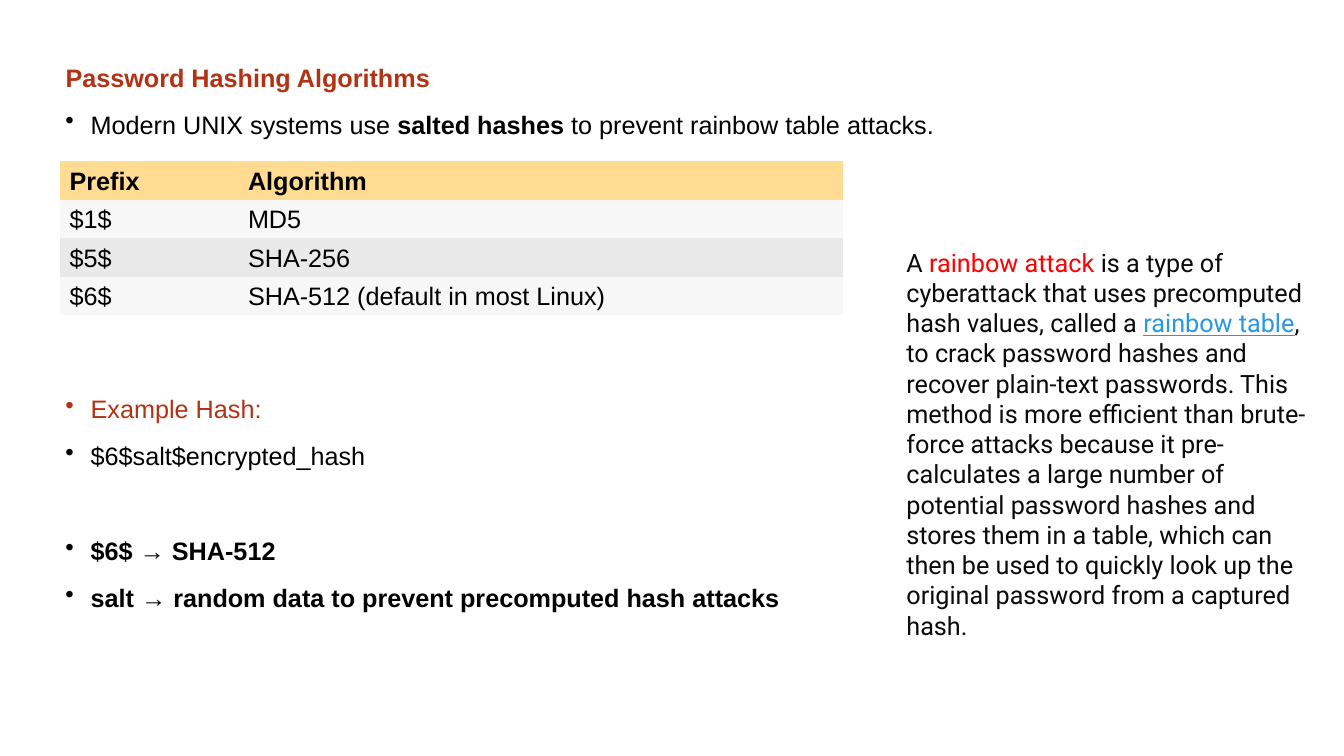
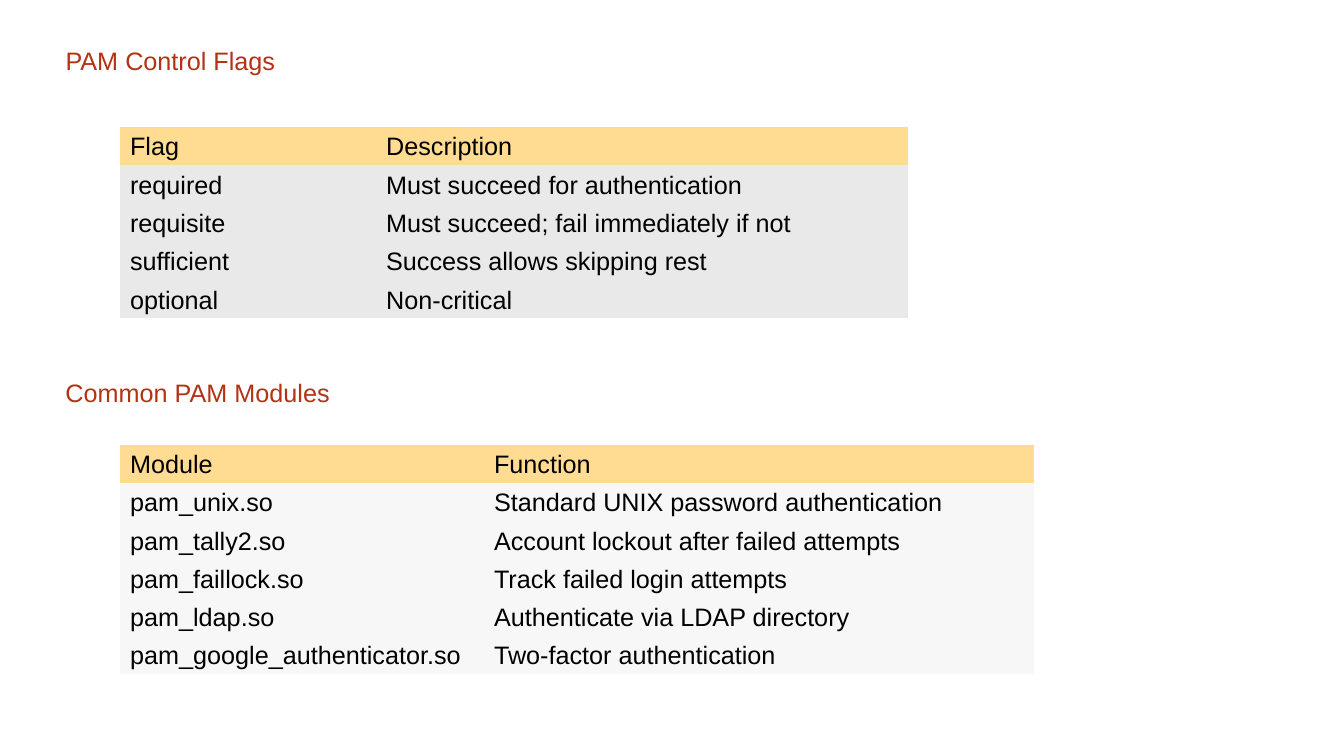
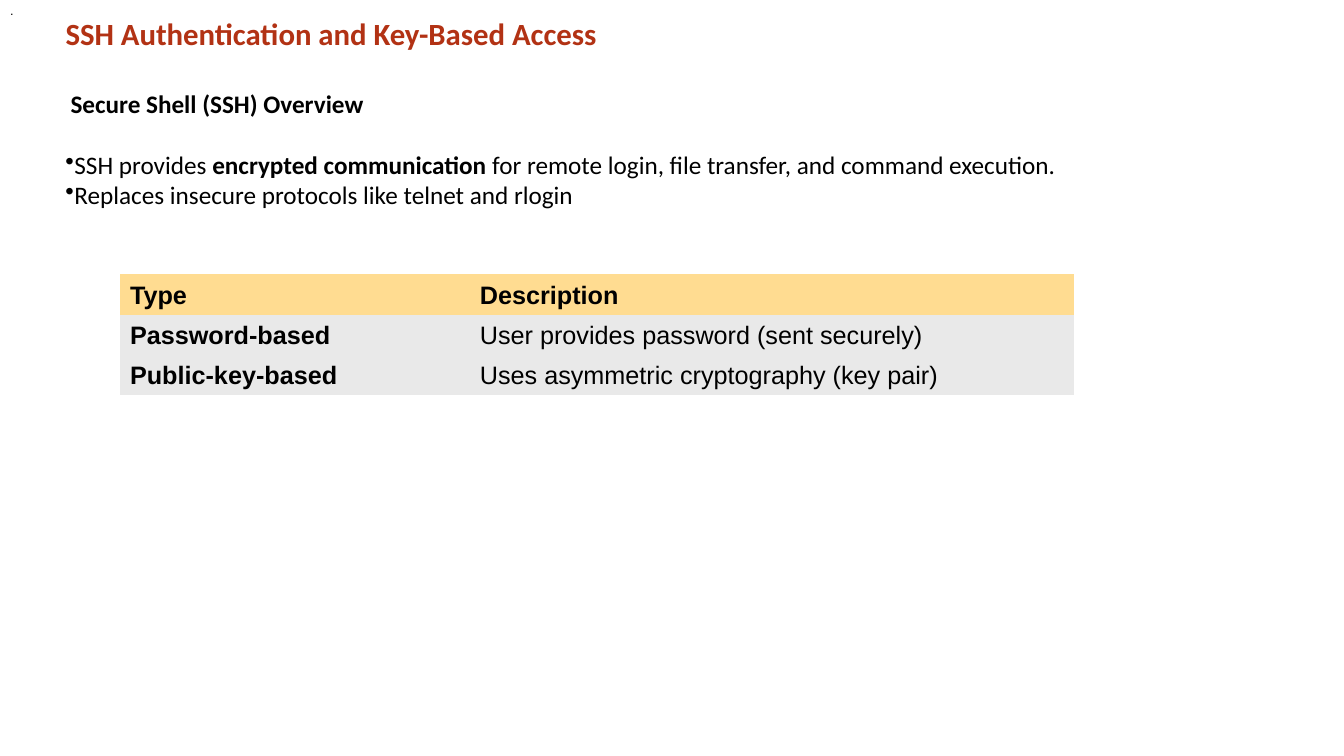
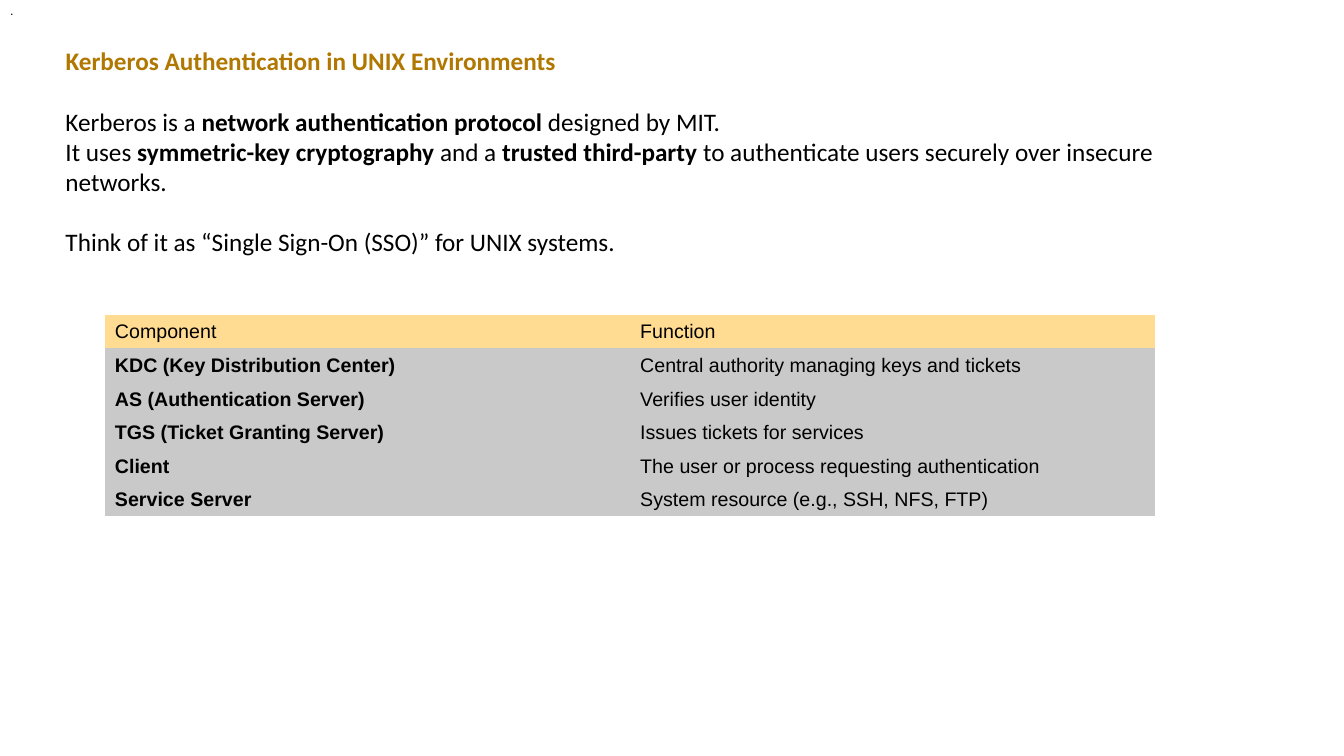
from dataclasses import dataclass

from pptx import Presentation
from pptx.dml.color import RGBColor
from pptx.enum.text import MSO_ANCHOR, MSO_AUTO_SIZE, PP_ALIGN
from pptx.oxml.ns import qn
from pptx.util import Pt
from lxml.etree import SubElement

PX = 9144  # EMU in one px, 100 px to the inch
PLAIN = "{2D5ABB26-0587-4C30-8999-92F81FD0307C}"  # table style without grid


@dataclass(frozen=True)
class Theme:
    rust: str = "B23214"
    ochre: str = "B07800"
    black: str = "000000"
    ink: str = "0A0A0A"
    red: str = "FF0000"
    blue: str = "2998E3"
    head: str = "FFDC91"
    pale: str = "F7F7F7"
    light: str = "E9E9E9"
    grey: str = "C9C9C9"
    sans: str = "Arial"
    soft: str = "Calibri"
    web: str = "Roboto"
    large: int = 22
    body: int = 18
    small: int = 14
    tiny: int = 9
    lead: float = 1.2
    loose: float = 1.32
    left: int = 65
    wide: int = 1140


T = Theme()
BOLD = {"bold": True}


def px(*nums):
    return [round(n * PX) for n in nums]


# Text: a paragraph is a string or a list of strings and (string, format) runs
def write(frame, paras, font=T.sans, size=T.body, color=T.black, bold=False,
          lead=T.lead, gaps=(), hang=None):
    for i, runs in enumerate(paras):
        para = frame.paragraphs[0] if i == 0 else frame.add_paragraph()
        para.alignment = PP_ALIGN.LEFT
        para.line_spacing = Pt(size * lead)
        para.space_before = Pt(gaps[i] if gaps else 0)
        if hang is not None:
            props = para._p.get_or_add_pPr()
            props.set("marL", str(hang * PX))
            props.set("indent", str(-hang * PX))
            SubElement(props, qn("a:buChar")).set("char", "•")
        for part in [runs] if isinstance(runs, str) else runs:
            words, own = (part, {}) if isinstance(part, str) else part
            run = para.add_run()
            run.text = words
            run.font.name, run.font.size = font, Pt(size)
            run.font.bold = own.get("bold", bold)
            run.font.underline = own.get("line", False)
            run.font.color.rgb = RGBColor.from_string(own.get("color", color))


def fit(shape, at):
    shape.left, shape.top, shape.width, shape.height = px(*at)
    frame = shape.text_frame
    frame.margin_left = frame.margin_right = 0
    frame.margin_top = frame.margin_bottom = 0
    frame.word_wrap = True
    frame.auto_size = MSO_AUTO_SIZE.NONE
    frame.vertical_anchor = MSO_ANCHOR.TOP
    return frame


def box(slide, at, paras, **form):
    write(fit(slide.shapes.add_textbox(*px(*at)), at), paras, **form)


def page(deck, title, top, **form):
    slide = deck.slides.add_slide(deck.slide_layouts[5])
    frame = fit(slide.shapes.title, (T.left, top, T.wide, 40))
    write(frame, [title], **{"color": T.rust, **form})
    return slide


# Table: the first row is the header, tints colour the rows below in turn
def grid(slide, left, top, cols, tall, rows, tints, size=T.body,
         head=False, lead=False):
    table = slide.shapes.add_table(
        len(rows), len(cols), *px(left, top, sum(cols), tall)).table
    table.first_row = table.horz_banding = False
    table._tbl.tblPr[0].text = PLAIN
    for col, wide in zip(table.columns, px(*cols)):
        col.width = wide
    for r, row in enumerate(rows):
        table.rows[r].height = px(tall / len(rows))[0]
        tint = tints[(r - 1) % len(tints)] if r else T.head
        for c, words in enumerate(row):
            cell = table.cell(r, c)
            cell.fill.solid()
            cell.fill.fore_color.rgb = RGBColor.from_string(tint)
            cell.vertical_anchor = MSO_ANCHOR.MIDDLE
            cell.margin_top = cell.margin_bottom = px(3)[0]
            bold = head if r == 0 else lead and c == 0
            write(cell.text_frame, [words], size=size, bold=bold)


def dot(slide):
    box(slide, (10, 3, 10, 15), ["."], size=T.tiny)


def hashing(deck):
    slide = page(deck, "Password Hashing Algorithms", 59, bold=True,
                 lead=T.loose)
    form = {"lead": T.loose, "hang": 25}
    box(slide, (T.left, 105, T.wide, 40),
        [["Modern UNIX systems use ", ("salted hashes", BOLD),
          " to prevent rainbow table attacks."]], **form)
    grid(slide, 59, 160, (177, 600), 153, [
        ("Prefix", "Algorithm"),
        ("$1$", "MD5"),
        ("$5$", "SHA-256"),
        ("$6$", "SHA-512 (default in most Linux)"),
    ], (T.pale, T.light), head=True)
    box(slide, (T.left, 387, 800, 230), [
        [("Example Hash:", {"color": T.rust})],
        "$6$salt$encrypted_hash",
        [("$6$ → SHA-512", BOLD)],
        [("salt → random data to prevent precomputed hash attacks", BOLD)],
    ], gaps=(0, 10, 44, 10), **form)
    box(slide, (899, 245, 410, 394), [[
        "A ", ("rainbow attack ", {"color": T.red}),
        "is a type of cyberattack that uses precomputed hash values, "
        "called a ",
        ("rainbow table", {"color": T.blue, "line": True}),
        ", to crack password hashes and recover plain-text passwords. "
        "This method is more efficient than brute-force attacks because it "
        "pre-calculates a large number of potential password hashes and "
        "stores them in a table, which can then be used to quickly look up "
        "the original password from a captured hash.",
    ]], font=T.web, color=T.ink)


def pam(deck):
    slide = page(deck, "PAM Control Flags", 45)
    grid(slide, 119, 126, (254, 528), 190, [
        ("Flag", "Description"),
        ("required", "Must succeed for authentication"),
        ("requisite", "Must succeed; fail immediately if not"),
        ("sufficient", "Success allows skipping rest"),
        ("optional", "Non-critical"),
    ], (T.light,))
    box(slide, (T.left, 374, T.wide, 40), ["Common PAM Modules"],
        color=T.rust)
    grid(slide, 119, 441, (361, 546), 228, [
        ("Module", "Function"),
        ("pam_unix.so", "Standard UNIX password authentication"),
        ("pam_tally2.so", "Account lockout after failed attempts"),
        ("pam_faillock.so", "Track failed login attempts"),
        ("pam_ldap.so", "Authenticate via LDAP directory"),
        ("pam_google_authenticator.so", "Two-factor authentication"),
    ], (T.pale,))


def ssh(deck):
    slide = page(deck, "SSH Authentication and Key-Based Access", 15,
                 font=T.soft, size=T.large, bold=True)
    dot(slide)
    box(slide, (70, 88, T.wide, 40), ["Secure Shell (SSH) Overview"],
        font=T.soft, bold=True)
    box(slide, (T.left, 148, T.wide, 70), [
        ["SSH provides ", ("encrypted communication", BOLD),
         " for remote login, file transfer, and command execution."],
        "Replaces insecure protocols like telnet and rlogin",
    ], font=T.soft, hang=0)
    grid(slide, 119, 272, (347, 599), 120, [
        ("Type", "Description"),
        ("Password-based", "User provides password (sent securely)"),
        ("Public-key-based", "Uses asymmetric cryptography (key pair)"),
    ], (T.light,), head=True, lead=True)


def kerberos(deck):
    slide = page(deck, "Kerberos Authentication in UNIX Environments", 45,
                 font=T.soft, color=T.ochre, bold=True)
    dot(slide)
    box(slide, (T.left, 105, T.wide, 160), [
        ["Kerberos is a ", ("network authentication protocol", BOLD),
         " designed by MIT."],
        ["It uses ", ("symmetric-key cryptography", BOLD), " and a ",
         ("trusted third-party", BOLD),
         " to authenticate users securely over insecure networks."],
        "Think of it as “Single Sign-On (SSO)” for UNIX systems.",
    ], font=T.soft, gaps=(0, 0, 21.6))
    grid(slide, 104, 312, (521, 521), 200, [
        ("Component", "Function"),
        ("KDC (Key Distribution Center)",
         "Central authority managing keys and tickets"),
        ("AS (Authentication Server)", "Verifies user identity"),
        ("TGS (Ticket Granting Server)", "Issues tickets for services"),
        ("Client", "The user or process requesting authentication"),
        ("Service Server", "System resource (e.g., SSH, NFS, FTP)"),
    ], (T.grey,), size=T.small, lead=True)


def main():
    deck = Presentation()
    deck.slide_width, deck.slide_height = px(1333, 750)
    for build in (hashing, pam, ssh, kerberos):
        build(deck)
    deck.save("out.pptx")


if __name__ == "__main__":
    main()
